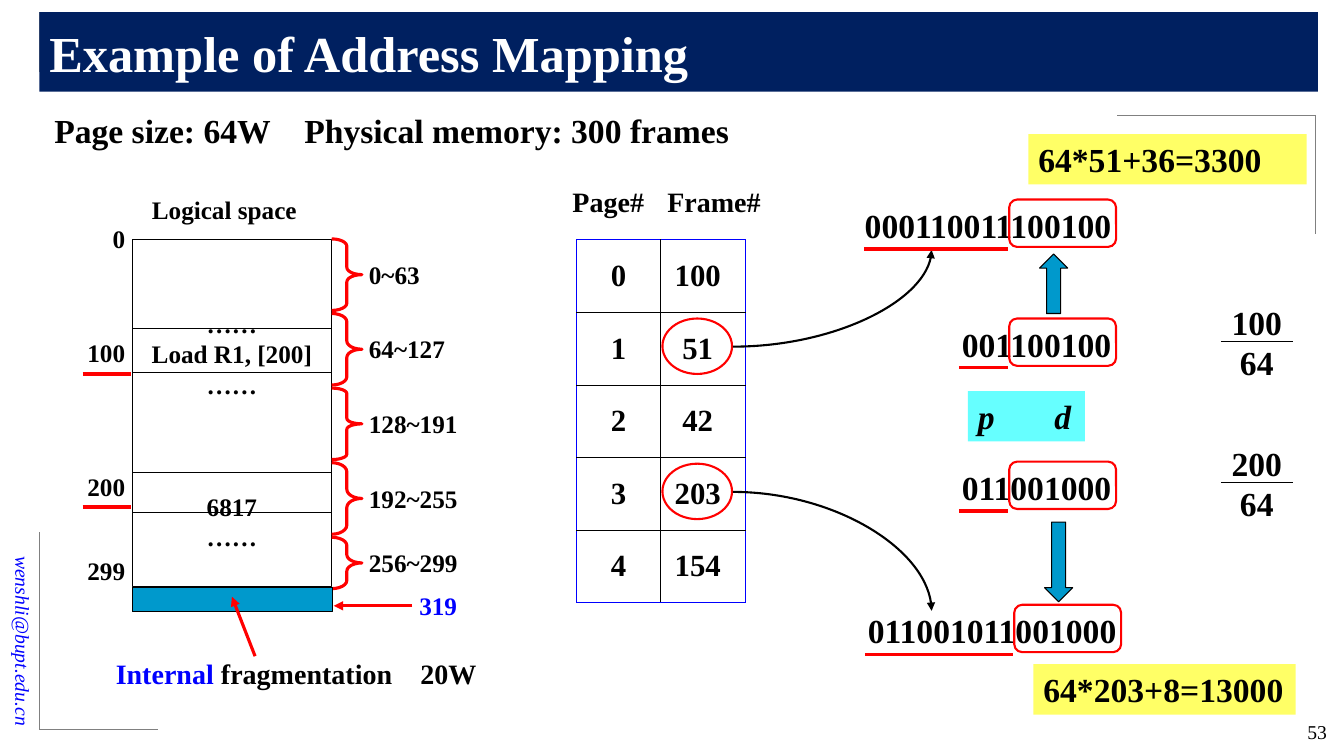
from dataclasses import dataclass

from lxml import etree
from pptx import Presentation
from pptx.dml.color import RGBColor
from pptx.enum.shapes import MSO_CONNECTOR, MSO_SHAPE
from pptx.enum.text import MSO_ANCHOR, PP_ALIGN
from pptx.oxml.ns import qn
from pptx.util import Emu, Pt

STRAIGHT, CURVE = MSO_CONNECTOR.STRAIGHT, MSO_CONNECTOR.CURVE
RECT, ROUND_RECT, OVAL = MSO_SHAPE.RECTANGLE, MSO_SHAPE.ROUNDED_RECTANGLE, MSO_SHAPE.OVAL
BRACE, UP_ARROW, DOWN_ARROW = MSO_SHAPE.RIGHT_BRACE, MSO_SHAPE.UP_ARROW, MSO_SHAPE.DOWN_ARROW
LEFT, CENTER, RIGHT = PP_ALIGN.LEFT, PP_ALIGN.CENTER, PP_ALIGN.RIGHT
MIDDLE, TOP = MSO_ANCHOR.MIDDLE, MSO_ANCHOR.TOP
PX = 9144


@dataclass(frozen=True)
class Theme:
    font: str = "Times New Roman"
    navy: str = "002060"
    white: str = "FFFFFF"
    black: str = "000000"
    blue: str = "0000FF"
    red: str = "FF0000"
    gray: str = "808080"
    teal: str = "0099CC"
    cyan: str = "66FFFF"
    yellow: str = "FFFF66"
    title: int = 36
    large: int = 24
    entry: int = 22
    heading: int = 20
    label: int = 18
    small: int = 14
    hairline: float = 0.5
    thin: float = 0.75
    medium: float = 1.5
    thick: float = 2.25


THEME = Theme()


def px(*lengths):
    return [Emu(length * PX) for length in lengths]


def rgb(color):
    return RGBColor.from_string(color)


def add_run(paragraph, text, size, color=THEME.black, bold=True, italic=False):
    run = paragraph.add_run()
    run.text = text
    font = run.font
    font.name, font.size, font.bold, font.italic = THEME.font, Pt(size), bold, italic
    font.color.rgb = rgb(color)


def add_tab(paragraph, position):
    tabs = etree.SubElement(paragraph._p.get_or_add_pPr(), qn("a:tabLst"))
    etree.SubElement(tabs, qn("a:tab"), pos=str(position * PX), algn="l")


def write(shape, lines, size, align=LEFT, anchor=MIDDLE, wrap=False, tab=None, **style):
    frame = shape.text_frame
    frame.word_wrap, frame.vertical_anchor = wrap, anchor
    for index, line in enumerate(lines):
        paragraph = frame.add_paragraph() if index else frame.paragraphs[0]
        paragraph.alignment = align
        if tab:
            add_tab(paragraph, tab)
        add_run(paragraph, line, size, **style)
    return frame


def label(slide, box, text, size=THEME.label, **options):
    return write(slide.shapes.add_textbox(*px(*box)), text.split("\n"), size, **options)


def block(slide, kind, box, fill=None, line=None, width=THEME.thin):
    shape = slide.shapes.add_shape(kind, *px(*box))
    shape.shadow.inherit = False
    if fill:
        shape.fill.solid()
        shape.fill.fore_color.rgb = rgb(fill)
    else:
        shape.fill.background()
    if line:
        shape.line.color.rgb = rgb(line)
        shape.line.width = Pt(width)
    else:
        shape.line.fill.background()
    return shape


def stroke(slide, start, end, color=THEME.black, width=THEME.thin, arrow=False, kind=STRAIGHT):
    connector = slide.shapes.add_connector(kind, *px(*start, *end))
    connector.line.color.rgb = rgb(color)
    connector.line.width = Pt(width)
    properties = connector._element.spPr
    if arrow:
        etree.SubElement(properties.find(qn("a:ln")), qn("a:tailEnd"), type="triangle")
    if kind == CURVE:
        properties.find(qn("a:prstGeom")).set("prst", "curvedConnector2")
    etree.SubElement(properties, qn("a:effectLst"))


def add_corner(slide, corner, across, down):
    for end in ((across, corner[1]), (corner[0], down)):
        stroke(slide, corner, end, THEME.gray, THEME.hairline)


def add_logical_space(slide):
    label(slide, (140, 188, 165, 40), "Logical space", align=CENTER)
    memory = block(slide, RECT, (131, 238, 198, 344), line=THEME.black)
    contents = write(memory, ["……", "Load R1, [200]", "……", "6817", "……"],
                     THEME.label, CENTER, TOP)
    contents.margin_top = Emu(68 * PX)
    contents.paragraphs[3].space_before = Pt(66)
    for y in (326, 370, 469, 508):
        stroke(slide, (132, y), (329, y))
    for address, y in (("0", 217), ("100", 330), ("200", 463), ("299", 546)):
        label(slide, (76, y, 58, 40), address, align=RIGHT)
    for y in (371, 503):
        stroke(slide, (82, y), (130, y), THEME.red, THEME.thick)


def add_page_ranges(slide):
    ranges = (("0~63", 71, 0.24), ("64~127", 71, 0.27), ("128~191", 71, 0.18),
              ("192~255", 71, 0.3), ("256~299", 51, 0.27))
    for page, (addresses, height, bend) in enumerate(ranges):
        y = 237 + 74 * page
        brace = block(slide, BRACE, (329, y, 30, height), line=THEME.red, width=THEME.thick)
        brace.adjustments[0] = bend
        label(slide, (356, y + height // 2 - 20, 109, 40), addresses)


def add_fragmentation(slide):
    block(slide, RECT, (131, 583, 199, 24), THEME.teal, THEME.black)
    label(slide, (406, 581, 58, 40), "319", color=THEME.blue)
    stroke(slide, (409, 601), (331, 601), THEME.red, THEME.thick, arrow=True)
    caption = label(slide, (105, 646, 400, 44), "Internal", THEME.heading,
                    color=THEME.blue, wrap=True, tab=302)
    add_run(caption.paragraphs[0], " fragmentation\t20W", THEME.heading)
    stroke(slide, (253, 651), (230, 592), THEME.red, THEME.thick, arrow=True)


def set_borders(cell, colors):
    properties = cell._tc.get_or_add_tcPr()
    for index, (side, color) in enumerate(zip(("L", "R", "T", "B"), colors)):
        border = etree.Element(qn("a:ln" + side), w=str(Pt(THEME.thin)))
        fill = etree.SubElement(border, qn("a:solidFill"))
        etree.SubElement(fill, qn("a:srgbClr"), val=color)
        properties.insert(index, border)


def add_page_table(slide):
    for heading, x in (("Page#", 558), ("Frame#", 652)):
        label(slide, (x, 178, 114, 44), heading, THEME.heading)
    frames = (100, 51, 42, 203, 154)
    last = len(frames) - 1
    table = slide.shapes.add_table(len(frames), 2, *px(572, 238, 167, 360)).table
    table.first_row = table.horz_banding = False
    table.columns[0].width, table.columns[1].width = px(83, 84)
    for page, frame in enumerate(frames):
        for column, value in enumerate((page, frame)):
            cell = table.cell(page, column)
            cell.fill.background()
            cell.vertical_anchor = MIDDLE
            cell.margin_right = Emu((10 + 10 * column) * PX)
            paragraph = cell.text_frame.paragraphs[0]
            paragraph.alignment = CENTER
            add_run(paragraph, str(value), THEME.entry)
            outer = (column == 0, column == 1, page == 0, page == last)
            set_borders(cell, [THEME.blue if edge else THEME.black for edge in outer])


def add_lookups(slide):
    for y, target in ((316, 248), (460, 606)):
        block(slide, OVAL, (657, y, 69, 55), line=THEME.red, width=THEME.medium)
        stroke(slide, (727, y + 28), (924, target), width=THEME.medium, arrow=True, kind=CURVE)


def add_binary_address(slide, bits, top, page_left, offset_left):
    text_left = page_left - 12
    label(slide, (text_left, top, offset_left + 111 - text_left, 50), bits,
          THEME.large, align=RIGHT)
    block(slide, ROUND_RECT, (offset_left, top, 106, 47), line=THEME.red, width=THEME.medium)
    stroke(slide, (page_left, top + 49), (offset_left - 1, top + 49), THEME.red, THEME.thick)


def add_division(slide, address, top):
    label(slide, (1211, top, 71, 91), f"{address}\n64", THEME.large, align=CENTER)
    stroke(slide, (1211, top + 45), (1282, top + 45))


def add_highlight(slide, box, text, fill, **options):
    write(block(slide, RECT, box, fill), [text], THEME.large, **options)


def main():
    deck = Presentation()
    deck.slide_width, deck.slide_height = px(1333, 750)
    slide = deck.slides.add_slide(deck.slide_layouts[6])

    email = slide.shapes.add_textbox(*px(-109, 581, 264, 34))
    email.rotation = 90
    write(email, ["wenshli@bupt.edu.cn"], THEME.small, RIGHT,
          color=THEME.blue, bold=False, italic=True)
    add_corner(slide, (39, 12), 236, 71)
    add_corner(slide, (39, 724), 157, 528)
    add_corner(slide, (1305, 114), 1108, 232)
    banner = block(slide, RECT, (39, 12, 1268, 79), THEME.navy)
    write(banner, ["Example of Address Mapping"], THEME.title, color=THEME.white)
    label(slide, (44, 104, 1100, 50), "Page size: 64W\tPhysical memory: 300 frames",
          THEME.large, wrap=True, tab=248)

    add_logical_space(slide)
    add_page_ranges(slide)
    add_fragmentation(slide)
    add_page_table(slide)
    add_lookups(slide)

    for address in (("000110011100100", 198, 857, 1001), ("001100100", 316, 951, 1001),
                    ("011001000", 458, 951, 1001), ("011001011001000", 600, 858, 1006)):
        add_binary_address(slide, *address)
    block(slide, UP_ARROW, (1031, 252, 28, 59), THEME.teal, THEME.black)
    block(slide, DOWN_ARROW, (1036, 518, 28, 79), THEME.teal, THEME.black)
    add_division(slide, 100, 294)
    add_division(slide, 200, 434)

    add_highlight(slide, (960, 388, 116, 50), "p\td", THEME.cyan,
                  wrap=True, tab=76, italic=True)
    add_highlight(slide, (1020, 133, 276, 50), "64*51+36=3300", THEME.yellow)
    add_highlight(slide, (1025, 659, 260, 50), "64*203+8=13000", THEME.yellow)
    label(slide, (1215, 708, 111, 36), "53", THEME.small, align=RIGHT, bold=False)
    deck.save("out.pptx")


if __name__ == "__main__":
    main()
